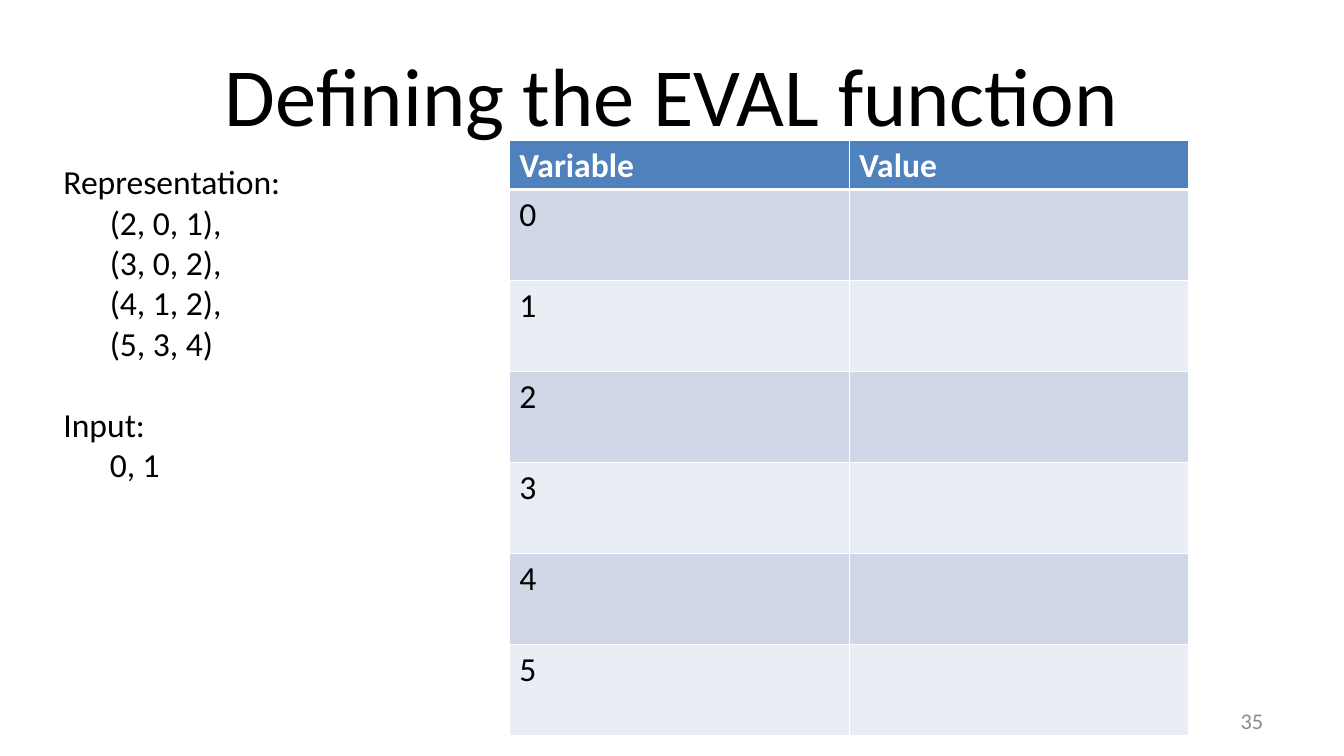
from lxml.etree import SubElement
from pptx import Presentation
from pptx.dml.color import RGBColor
from pptx.enum.text import MSO_ANCHOR, PP_ALIGN
from pptx.oxml.ns import qn
from pptx.util import Inches, Pt

COLORS = {
    "text": "000000",
    "number": "8C8C8C",
    "header": "4F81BD",
    "white": "FFFFFF",
    "bands": ("D0D8E8", "E9EDF4"),
}


class SlideBuilder:
    font = "Calibri"
    body_size = 24
    inset = (0.13, 0.07)
    indent = 0.46

    def __init__(self, prs):
        self.prs = prs
        self.s = prs.slides.add_slide(prs.slide_layouts[6])

    def x(self, percent):
        return round(self.prs.slide_width * percent / 100)

    def y(self, percent):
        return round(self.prs.slide_height * percent / 100)

    def style(self, p, size, color, bold=False):
        for r in p.runs:
            r.font.name = self.font
            r.font.size = Pt(size)
            r.font.bold = bold
            r.font.color.rgb = RGBColor.from_string(color)

    def box(self, left, top, width, height):
        sp = self.s.shapes.add_textbox(self.x(left), self.y(top), self.x(width), self.y(height))
        tf = sp.text_frame
        tf.word_wrap = True
        return tf

    def label(self, text, area, size, color, align):
        tf = self.box(*area)
        tf.text = text
        tf.vertical_anchor = MSO_ANCHOR.MIDDLE
        tf.margin_left = tf.margin_right = Inches(self.inset[0])
        tf.margin_top = tf.margin_bottom = Inches(self.inset[1])
        p = tf.paragraphs[0]
        p.alignment = align
        self.style(p, size, color)

    def sections(self, sections, area, gap):
        tf = self.box(*area)
        tf.text = "\n".join("\n".join([heading, *lines]) for heading, lines in sections)
        headings = [heading for heading, _ in sections]
        for i, p in enumerate(tf.paragraphs):
            if p.text not in headings:
                p._p.get_or_add_pPr().set("marL", str(Inches(self.indent)))
            elif i:
                p.space_before = Pt(gap)
            self.style(p, self.body_size, COLORS["text"])

    def borders(self, cell, widths):
        tcPr = cell._tc.get_or_add_tcPr()
        for side, width in zip("LRTB", widths):
            ln = SubElement(tcPr, qn(f"a:ln{side}"), w=str(Pt(width)))
            fill = SubElement(ln, qn("a:solidFill"))
            SubElement(fill, qn("a:srgbClr"), val=COLORS["white"])

    def table(self, rows, left, top, width, header_height, row_height):
        height = header_height + row_height * (len(rows) - 1)
        frame = self.s.shapes.add_table(
            len(rows), len(rows[0]), self.x(left), self.y(top), self.x(width), self.y(height))
        table = frame.table
        for i, values in enumerate(rows):
            header = i == 0
            table.rows[i].height = self.y(header_height if header else row_height)
            fill = COLORS["header"] if header else COLORS["bands"][(i - 1) % 2]
            color = COLORS["white"] if header else COLORS["text"]
            for j, value in enumerate(values):
                cell = table.cell(i, j)
                cell.text = value
                cell.margin_bottom = Inches(0.02)
                self.borders(cell, (1, 1, 3 if i == 1 else 1, 3 if header else 1))
                cell.fill.solid()
                cell.fill.fore_color.rgb = RGBColor.from_string(fill)
                self.style(cell.text_frame.paragraphs[0], self.body_size, color, header)


def main():
    prs = Presentation()
    prs.slide_width = Inches(13.33)
    prs.slide_height = Inches(7.5)
    slide = SlideBuilder(prs)

    slide.label("Defining the EVAL function", (5, 4, 90, 16.67), 59, COLORS["text"], PP_ALIGN.CENTER)
    slide.label("35", (71.64, 92.67, 23.33, 5.33), 16, COLORS["number"], PP_ALIGN.RIGHT)

    variables = [(str(n), "") for n in range(6)]
    slide.table([("Variable", "Value"), *variables], 37.9, 18.53, 50.56, 6.53, 12.04)

    slide.sections(
        [
            ("Representation:", ["(2, 0, 1),", "(3, 0, 2),", "(4, 1, 2),", "(5, 3, 4)"]),
            ("Input:", ["0, 1"]),
        ],
        (3.98, 20.67, 41.26, 44.4), gap=29)

    prs.save("out.pptx")


if __name__ == "__main__":
    main()
